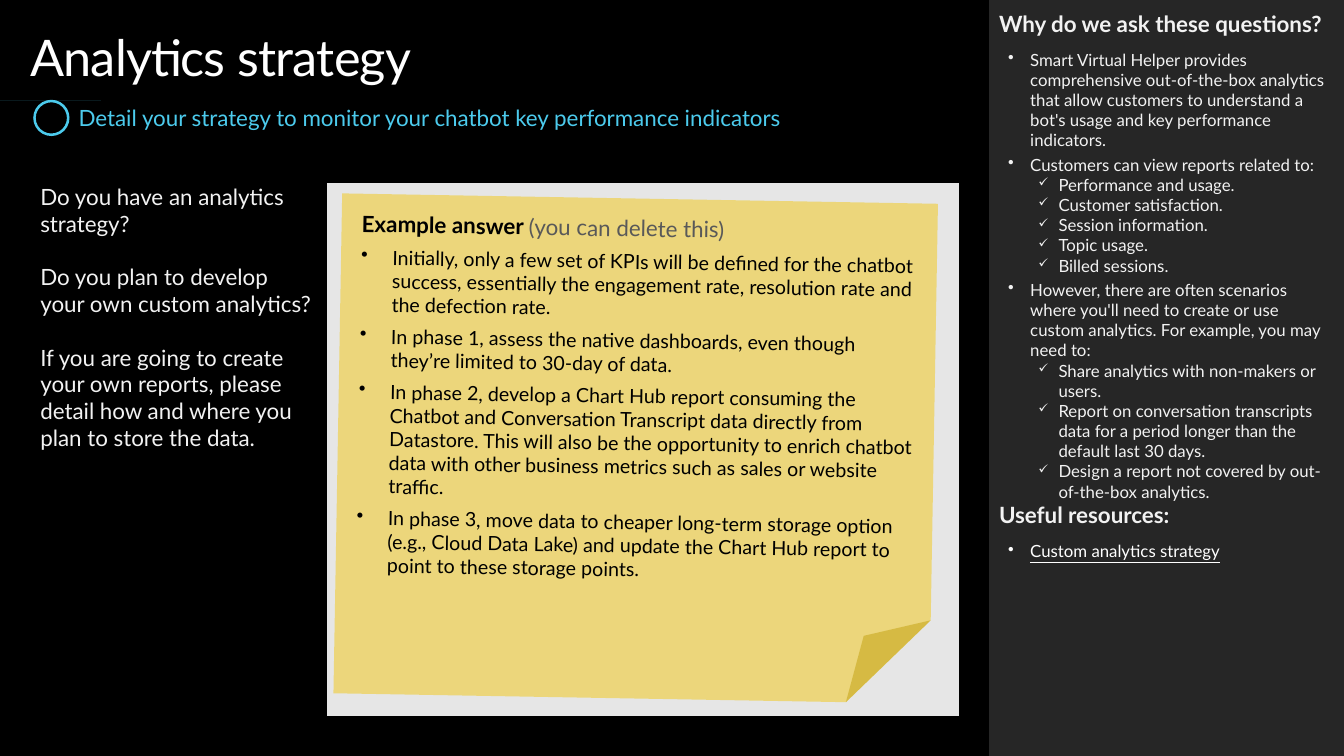
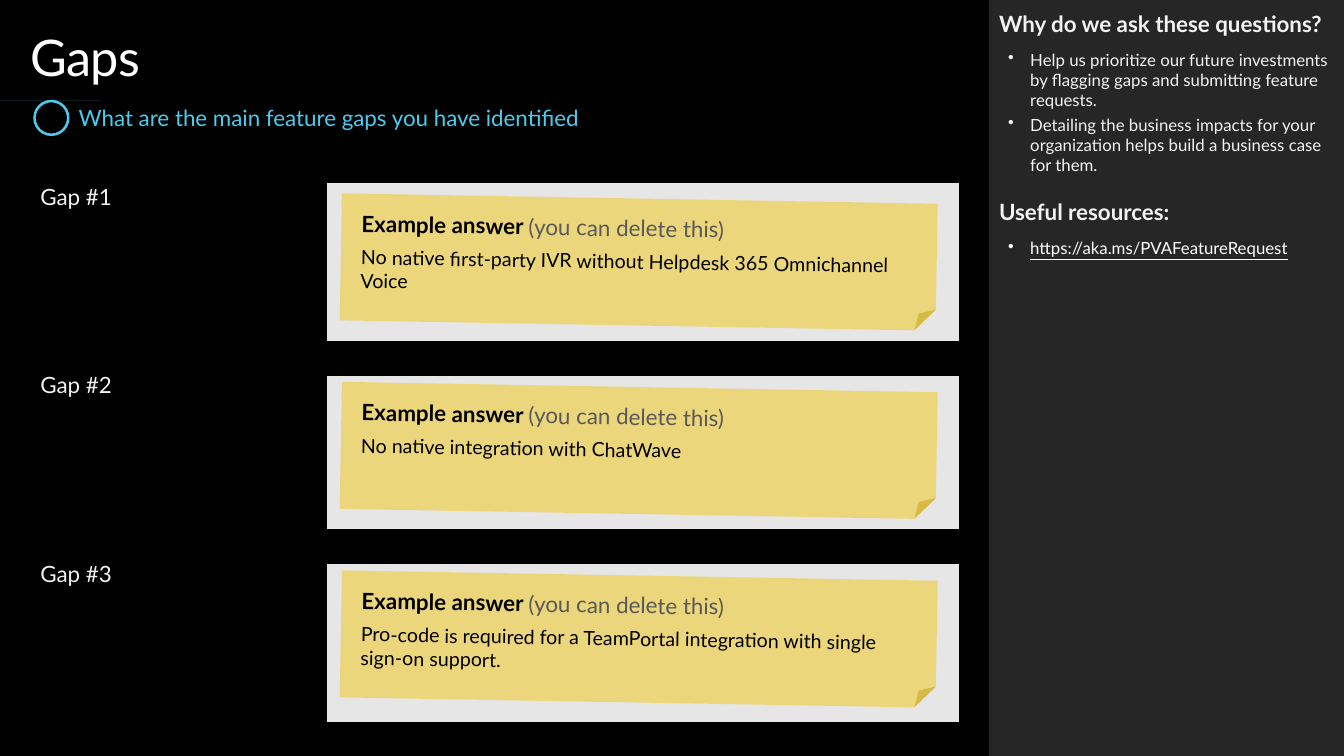
from dataclasses import dataclass

from lxml import etree
from pptx import Presentation
from pptx.dml.color import RGBColor
from pptx.enum.shapes import MSO_SHAPE
from pptx.enum.text import MSO_ANCHOR, PP_ALIGN
from pptx.oxml.ns import qn
from pptx.util import Inches, Pt

RECTANGLE, DONUT, NOTE = MSO_SHAPE.RECTANGLE, MSO_SHAPE.DONUT, MSO_SHAPE.FOLDED_CORNER
TOP, MIDDLE, LEFT = MSO_ANCHOR.TOP, MSO_ANCHOR.MIDDLE, PP_ALIGN.LEFT

# Theme
FONT = "Lato"
BLACK = RGBColor(0x00, 0x00, 0x00)
WHITE = RGBColor(0xFF, 0xFF, 0xFF)
CHARCOAL = RGBColor(0x26, 0x26, 0x26)
PALE = RGBColor(0xF2, 0xF2, 0xF2)
CYAN = RGBColor(0x4C, 0xCB, 0xED)
PANEL_GREY = RGBColor(0xE6, 0xE6, 0xE6)
HINT_GREY = RGBColor(0x59, 0x59, 0x59)
YELLOW = RGBColor(0xF2, 0xC8, 0x11)
NO_STYLE_TABLE = "{2D5ABB26-0587-4C30-8999-92F81FD0307C}"

# Grid, in inches
SLIDE_W, SLIDE_H = 13.33, 7.5
SIDEBAR_X = 9.81
SIDEBAR_W = SLIDE_W - SIDEBAR_X
CONTENT_RIGHT = 9.51
GRID_X, GRID_Y = 0.4, 1.82
QUESTION_W, ANSWER_W = 2.84, 6.27
GAP_H = 0.27
NOTE_W, NOTE_DROP = 5.91, 0.15


@dataclass(frozen=True)
class Box:
    x: float
    y: float
    w: float
    h: float

    def emu(self):
        return [Inches(v) for v in (self.x, self.y, self.w, self.h)]


@dataclass(frozen=True)
class Bullet:
    char: str
    margin: float
    hanging: float
    percent: int = 100


@dataclass(frozen=True)
class Reason:
    text: str
    details: tuple[str, ...] = ()


@dataclass(frozen=True)
class Row:
    questions: tuple[str, ...]
    answers: tuple[str, ...]


@dataclass(frozen=True)
class Page:
    title: str
    subtitle: str
    reasons: tuple[Reason, ...]
    resource: str
    resource_gap: float
    rows: tuple[Row, ...]
    row_h: float
    note_x: float
    note_h: float
    answer_bullet: Bullet | None = None
    closing_border: bool = False


SIDEBAR_DOT = Bullet("•", 0.31, 0.22)
SIDEBAR_CHECK = Bullet("✓", 0.59, 0.2, 75)
NOTE_DOT = Bullet("•", 0.31, 0.31)

PAGES = (
    Page(
        title="Analytics strategy",
        subtitle="Detail your strategy to monitor your chatbot key performance indicators",
        reasons=(
            Reason("Smart Virtual Helper provides comprehensive out-of-the-box analytics "
                   "that allow customers to understand a bot's usage and key performance "
                   "indicators."),
            Reason("Customers can view reports related to:",
                   ("Performance and usage.", "Customer satisfaction.",
                    "Session information.", "Topic usage.", "Billed sessions.")),
            Reason("However, there are often scenarios where you'll need to create or use "
                   "custom analytics. For example, you may need to:",
                   ("Share analytics with non-makers or users.",
                    "Report on conversation transcripts data for a period longer than the "
                    "default last 30 days.",
                    "Design a report not covered by out-of-the-box analytics.")),
        ),
        resource="Custom analytics strategy",
        resource_gap=0,
        rows=(Row(
            ("Do you have an analytics strategy?",
             "Do you plan to develop your own custom analytics?",
             "If you are going to create your own reports, please detail how and where "
             "you plan to store the data."),
            ("Initially, only a few set of KPIs will be defined for the chatbot success, "
             "essentially the engagement rate, resolution rate and the defection rate.",
             "In phase 1, assess the native dashboards, even though they’re limited to "
             "30-day of data.",
             "In phase 2, develop a Chart Hub report consuming the Chatbot and Conversation "
             "Transcript data directly from Datastore. This will also be the opportunity "
             "to enrich chatbot data with other business metrics such as sales or website "
             "traffic.",
             "In phase 3, move data to cheaper long-term storage option (e.g., Cloud Data "
             "Lake) and update the Chart Hub report to point to these storage points.")),),
        row_h=5.32, note_x=3.35, note_h=4.96,
        answer_bullet=NOTE_DOT, closing_border=True,
    ),
    Page(
        title="Gaps",
        subtitle="What are the main feature gaps you have identified",
        reasons=(
            Reason("Help us prioritize our future investments by flagging gaps and "
                   "submitting feature requests."),
            Reason("Detailing the business impacts for your organization helps build a "
                   "business case for them."),
        ),
        resource="https://aka.ms/PVAFeatureRequest",
        resource_gap=17,
        rows=(
            Row(("Gap #1",),
                ("No native first-party IVR without Helpdesk 365 Omnichannel Voice",)),
            Row(("Gap #2",), ("No native integration with ChatWave",)),
            Row(("Gap #3",),
                ("Pro-code is required for a TeamPortal integration with single sign-on "
                 "support.",)),
        ),
        row_h=1.6, note_x=3.38, note_h=1.26,
    ),
)


# Text
def set_frame(frame, margins=(0, 0, 0, 0), anchor=TOP):
    frame.word_wrap = True
    frame.vertical_anchor = anchor
    (frame.margin_left, frame.margin_top,
     frame.margin_right, frame.margin_bottom) = map(Inches, margins)


def write(frame, text: str, *, size: float, color: RGBColor, bold=False, underline=False,
          tracking=0.0, bullet: Bullet | None = None, before=0.0, after=0.0,
          same_line=False):
    paragraph = frame.paragraphs[-1]
    if not same_line:
        if paragraph.runs:
            paragraph = frame.add_paragraph()
        paragraph.alignment = LEFT
        paragraph.space_before, paragraph.space_after = Pt(before), Pt(after)
        if bullet:
            props = paragraph._p.get_or_add_pPr()
            props.set("marL", str(Inches(bullet.margin)))
            props.set("indent", str(-Inches(bullet.hanging)))
            etree.SubElement(props, qn("a:buSzPct")).set("val", str(bullet.percent * 1000))
            etree.SubElement(props, qn("a:buChar")).set("char", bullet.char)
    run = paragraph.add_run()
    run.text = text
    font = run.font
    font.name, font.size, font.bold, font.underline = FONT, Pt(size), bold, underline
    font.color.rgb = color
    if tracking:
        font._element.set("spc", str(int(tracking * 100)))


def add_text_box(slide, box: Box, **frame_format):
    frame = slide.shapes.add_textbox(*box.emu()).text_frame
    set_frame(frame, **frame_format)
    return frame


# Shapes
def paint(shape, color: RGBColor):
    shape.shadow.inherit = False
    shape.fill.solid()
    shape.fill.fore_color.rgb = color
    shape.line.fill.background()


def add_filled(slide, kind, box: Box, color: RGBColor):
    shape = slide.shapes.add_shape(kind, *box.emu())
    paint(shape, color)
    return shape


def draw_check_badge(slide):
    ring = add_filled(slide, DONUT, Box(0.33, 0.99, 0.36, 0.36), CYAN)
    ring.adjustments[0] = 0.07
    start, *rest = ((0.58, 1.1), (0.49, 1.18), (0.45, 1.15), (0.42, 1.18), (0.48, 1.23),
                    (0.5, 1.24), (0.51, 1.22), (0.61, 1.13))
    tick = slide.shapes.build_freeform(*start, scale=Inches(1))
    tick.add_line_segments(rest)
    paint(tick.convert_to_shape(), CYAN)


def draw_header(slide, page: Page):
    draw_check_badge(slide)
    title = add_text_box(slide, Box(0.3, 0.26, CONTENT_RIGHT - 0.3, 0.61))
    write(title, page.title, size=36, color=WHITE, tracking=-0.5)
    subtitle = add_text_box(slide, Box(0.78, 1.03, CONTENT_RIGHT - 0.78, 0.27),
                            anchor=MIDDLE)
    write(subtitle, page.subtitle, size=16, color=CYAN)


def draw_sidebar(slide, page: Page):
    area = Box(SIDEBAR_X, 0, SIDEBAR_W, SLIDE_H)
    add_filled(slide, RECTANGLE, area, CHARCOAL)
    frame = add_text_box(slide, area, margins=(0.1,) * 4)
    heading = dict(size=16, color=PALE, bold=True, after=6)
    item = dict(size=12, bullet=SIDEBAR_DOT, before=3)
    write(frame, "Why do we ask these questions?", **heading)
    for reason in page.reasons:
        write(frame, reason.text, color=PALE, **item)
        for detail in reason.details:
            write(frame, detail, size=12, color=PALE, bullet=SIDEBAR_CHECK)
    write(frame, "Useful resources:", before=page.resource_gap, **heading)
    write(frame, page.resource, color=WHITE, underline=True, **item)


# Question and answer grid
def add_border(cell, side: str):
    line = etree.Element(qn(f"a:ln{side}"), w=str(Pt(6)))
    fill = etree.SubElement(line, qn("a:solidFill"))
    etree.SubElement(fill, qn("a:srgbClr")).set("val", str(BLACK))
    cell._tc.get_or_add_tcPr().insert(0, line)


def fill_cell(cell, color: RGBColor):
    cell.fill.solid()
    cell.fill.fore_color.rgb = color


def draw_grid(slide, page: Page):
    count = 2 * len(page.rows) - 1
    heights = [GAP_H if i % 2 else page.row_h for i in range(count)]
    area = Box(GRID_X, GRID_Y, QUESTION_W + ANSWER_W, sum(heights))
    table = slide.shapes.add_table(count, 2, *area.emu()).table
    table.first_row = table.horz_banding = False
    table._tbl.tblPr.find(qn("a:tableStyleId")).text = NO_STYLE_TABLE
    for column, width in zip(table.columns, (QUESTION_W, ANSWER_W)):
        column.width = Inches(width)
    for i, height in enumerate(heights):
        table.rows[i].height = Inches(height)
        question, answer = table.cell(i, 0), table.cell(i, 1)
        for cell in (question, answer):
            cell.margin_left = cell.margin_top = cell.margin_bottom = 0
            cell.margin_right = Inches(0.1)
        if i % 2:
            for cell in (question, answer):
                fill_cell(cell, BLACK)
                # Keeps the empty line lower than the gap row
                cell.text_frame.paragraphs[0]._p.get_or_add_endParaRPr().set("sz", "1200")
        else:
            question.fill.background()
            fill_cell(answer, PANEL_GREY)
            for n, text in enumerate(page.rows[i // 2].questions):
                write(question.text_frame, text, size=16, color=PALE,
                      before=19.2 if n else 0)
        for cell in (question, answer):
            if i < count - 1 or page.closing_border:
                add_border(cell, "B")
            if i:
                add_border(cell, "T")


def draw_note(slide, page: Page, index: int):
    y = GRID_Y + NOTE_DROP + index * (page.row_h + GAP_H)
    note = add_filled(slide, NOTE, Box(page.note_x, y, NOTE_W, page.note_h), YELLOW)
    note.rotation = 1
    tint = note.fill._xPr.find(f".//{qn('a:srgbClr')}")
    etree.SubElement(tint, qn("a:alpha")).set("val", "50000")
    frame = note.text_frame
    set_frame(frame, margins=(0.2, 0.16, 0.2, 0.16))
    write(frame, "Example answer ", size=16, color=BLACK, bold=True, after=6)
    write(frame, "(you can delete this)", size=16, color=HINT_GREY, same_line=True)
    for answer in page.rows[index].answers:
        write(frame, answer, size=14, color=BLACK, bullet=page.answer_bullet, after=6)


def main():
    prs = Presentation()
    prs.slide_width, prs.slide_height = Inches(SLIDE_W), Inches(SLIDE_H)
    backdrop = prs.slide_master.background.fill
    backdrop.solid()
    backdrop.fore_color.rgb = BLACK
    for page in PAGES:
        slide = prs.slides.add_slide(prs.slide_layouts[6])
        draw_sidebar(slide, page)
        draw_header(slide, page)
        draw_grid(slide, page)
        for index in range(len(page.rows)):
            draw_note(slide, page, index)
    prs.save("out.pptx")


if __name__ == "__main__":
    main()
